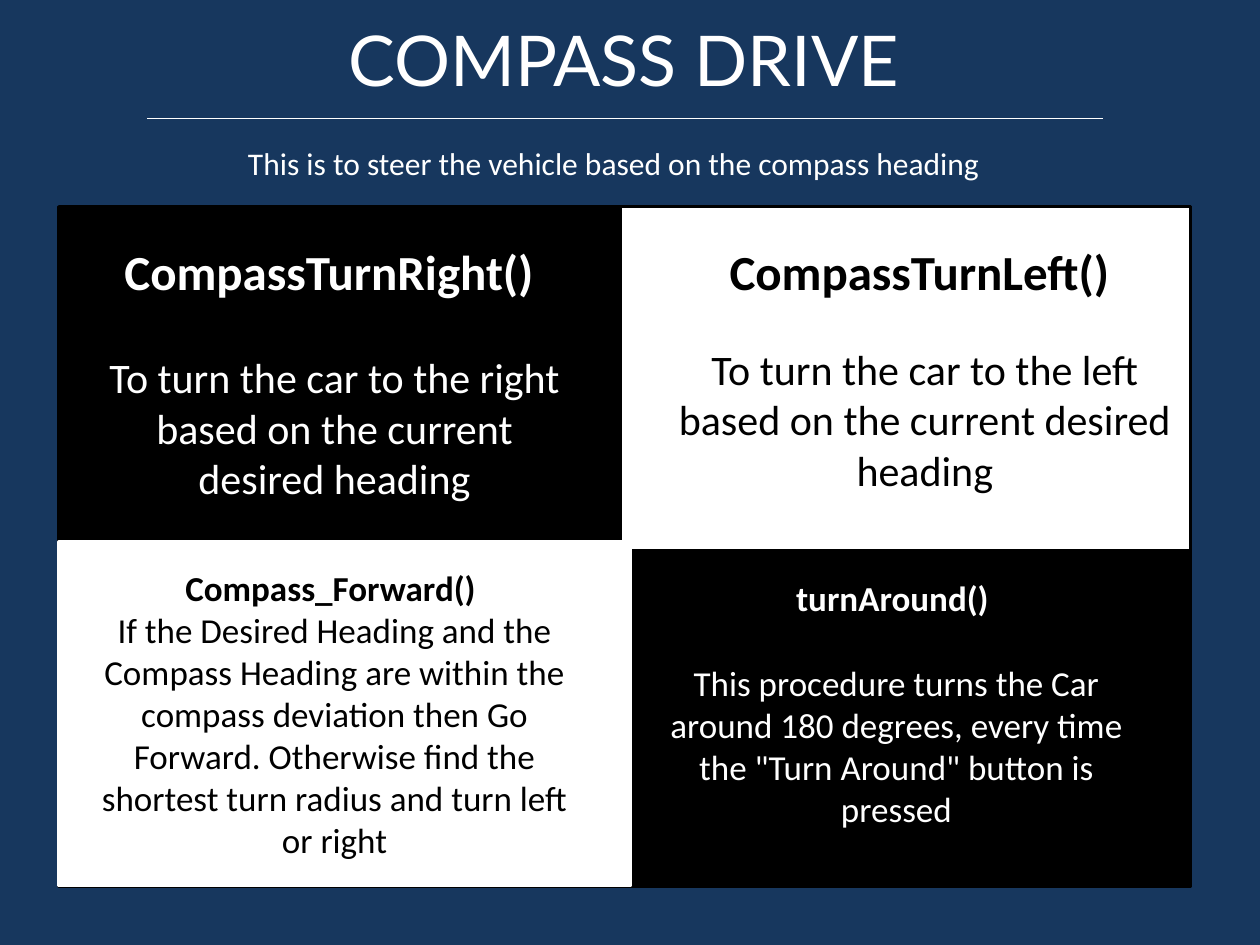
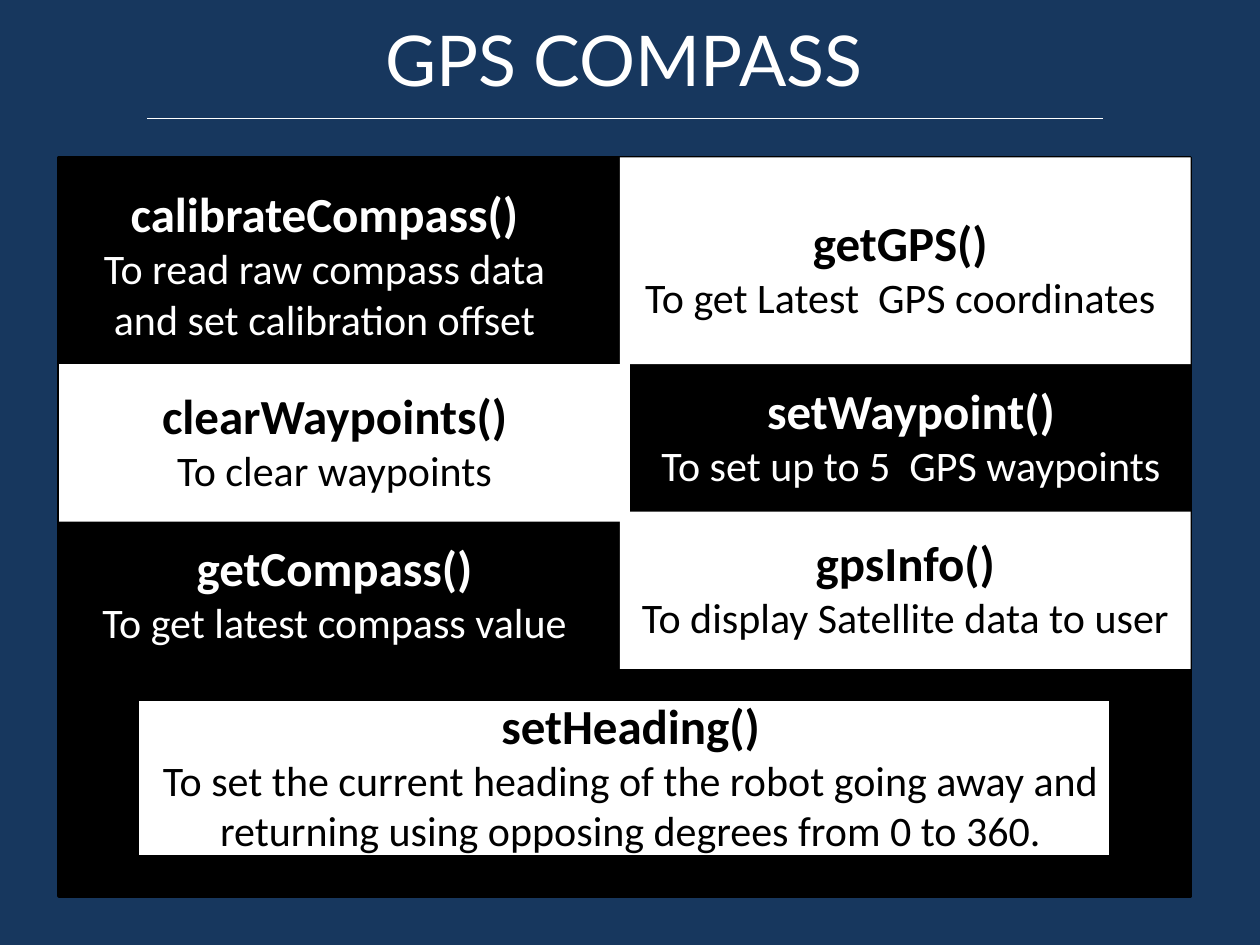
"""Build two slides on the compass drive and GPS compass functions."""
from lxml import etree
from pptx import Presentation
from pptx.dml.color import RGBColor
from pptx.enum.shapes import MSO_CONNECTOR, MSO_SHAPE
from pptx.enum.text import MSO_ANCHOR, PP_ALIGN
from pptx.oxml.ns import qn
from pptx.util import Inches, Pt

RECT = MSO_SHAPE.RECTANGLE
STRAIGHT = MSO_CONNECTOR.STRAIGHT
TOP, MIDDLE = MSO_ANCHOR.TOP, MSO_ANCHOR.MIDDLE
LEFT, CENTER = PP_ALIGN.LEFT, PP_ALIGN.CENTER

HUES = {"navy": "17375E", "white": "FFFFFF", "black": "000000"}
FONT, TITLE_FONT = "Calibri", "Lato"
EDGE, HALF, WIDE = 0.47, 4.53, 8.98
MID = EDGE + WIDE - HALF
LEAD = 1.22

SLIDES = [
    {
        "title": "COMPASS DRIVE",
        "intro": "This is to steer the vehicle based on the compass heading",
        "panels": [
            (EDGE, 1.64, WIDE, 5.39, "black", "black"),
            (MID, 1.64, HALF, 2.73, "white", "black"),
            (EDGE, 4.3, HALF, 2.73, "white", "white"),
        ],
        "notes": [
            ((0.7, 1.87, 3.91, 2.19), "white", 28, 24, 24, "CompassTurnRight() ",
             "To turn the car to the right based on the current desired heading"),
            ((5.23, 1.87, 4.22, 2.46), "black", 28, 24, 20, "CompassTurnLeft() ",
             "To turn the car to the left based on the current desired heading"),
            ((0.7, 4.45, 3.91, 2.46), "black", 20, 20, 0, "Compass_Forward() ",
             "If the Desired Heading and the Compass Heading are within the "
             "compass deviation then Go Forward. Otherwise find the shortest "
             "turn radius and turn left or right"),
            ((5.16, 4.53, 3.91, 2.12), "white", 20, 20, 20, "turnAround() ",
             "This procedure turns the Car around 180 degrees, every time the "
             '"Turn Around" button is pressed'),
        ],
    },
    {
        "title": "GPS COMPASS",
        "intro": None,
        "panels": [
            (EDGE, 1.25, WIDE, 5.86, "black", "black"),
            (MID, 1.25, HALF, 1.64, "white", None),
            (EDGE, 2.89, HALF, 1.25, "white", None),
            (MID, 4.06, HALF, 1.25, "white", None),
            (1.09, 5.55, 7.73, 1.25, "white", "black"),
        ],
        "notes": [
            ((0.62, 1.41, 3.91, 1.39), "white", 28, 24, 0, "calibrateCompass()",
             "To read raw compass data and set calibration offset"),
            ((4.92, 1.64, 4.45, 0.98), "black", 28, 24, 0, "getGPS()",
             "To get Latest  GPS coordinates"),
            ((5.08, 2.97, 4.3, 0.98), "white", 28, 24, 0, "setWaypoint()",
             "To set up to 5  GPS waypoints"),
            ((0.7, 3.01, 3.91, 0.98), "black", 28, 24, 0, "clearWaypoints()",
             "To clear waypoints"),
            ((0.7, 4.22, 3.91, 0.98), "white", 28, 24, 0, "getCompass()",
             "To get latest compass value"),
            ((4.92, 4.18, 4.53, 0.98), "black", 28, 24, 0, "gpsInfo()",
             "To display Satellite data to user"),
            ((0.94, 5.47, 8.13, 1.38), "black", 28, 24, 0, "setHeading()",
             "To set the current heading of the robot going away and "
             "returning using opposing degrees from 0 to 360."),
        ],
    },
]


def hue(name):
    return RGBColor.from_string(HUES[name])


def add_panel(slide, left, top, width, height, fill, line):
    box = slide.shapes.add_shape(RECT, *map(Inches, (left, top, width, height)))
    box.shadow.inherit = False
    box.fill.solid()
    box.fill.fore_color.rgb = hue(fill)
    if line:
        box.line.color.rgb = hue(line)
        box.line.width = Pt(2)
    else:
        box.line.fill.background()


def add_text(slide, area, tone, rows, font=FONT, align=CENTER, anchor=TOP):
    frame = slide.shapes.add_textbox(*map(Inches, area)).text_frame
    frame.word_wrap = True
    frame.vertical_anchor = anchor
    for i, (text, size, bold, gap) in enumerate(rows):
        para = frame.add_paragraph() if i else frame.paragraphs[0]
        para.alignment = align
        para.space_before = Pt(gap)
        run = para.add_run()
        run.text = text
        run.font.name = font
        run.font.size = Pt(size)
        run.font.bold = bold
        run.font.color.rgb = hue(tone)


def add_head(slide, title):
    slide.background.fill.solid()
    slide.background.fill.fore_color.rgb = hue("navy")
    add_text(slide, (0.45, -0.16, 9, 1.25), "white",
             [(title, 40, False, 0)], TITLE_FONT, anchor=MIDDLE)
    ends = map(Inches, (1.17, 0.94, 8.75, 0.94))
    rule = slide.shapes.add_connector(STRAIGHT, *ends)
    rule.line.color.rgb = hue("white")
    rule.line.width = Pt(0.75)
    etree.SubElement(rule._element.spPr, qn("a:effectLst"))


def main():
    deck = Presentation()
    deck.slide_width, deck.slide_height = Inches(10), Inches(7.5)
    for page in SLIDES:
        slide = deck.slides.add_slide(deck.slide_layouts[6])
        add_head(slide, page["title"])
        for panel in page["panels"]:
            add_panel(slide, *panel)
        for area, tone, big, small, gap, name, use in page["notes"]:
            rows = [(name, big, True, 0), (use, small, False, round(gap * LEAD, 1))]
            add_text(slide, area, tone, rows)
        if page["intro"]:
            add_text(slide, (1.87, 1.09, 7.34, 0.4), "white",
                     [(page["intro"], 18, False, 0)], align=LEFT)
    deck.save("out.pptx")


if __name__ == "__main__":
    main()
